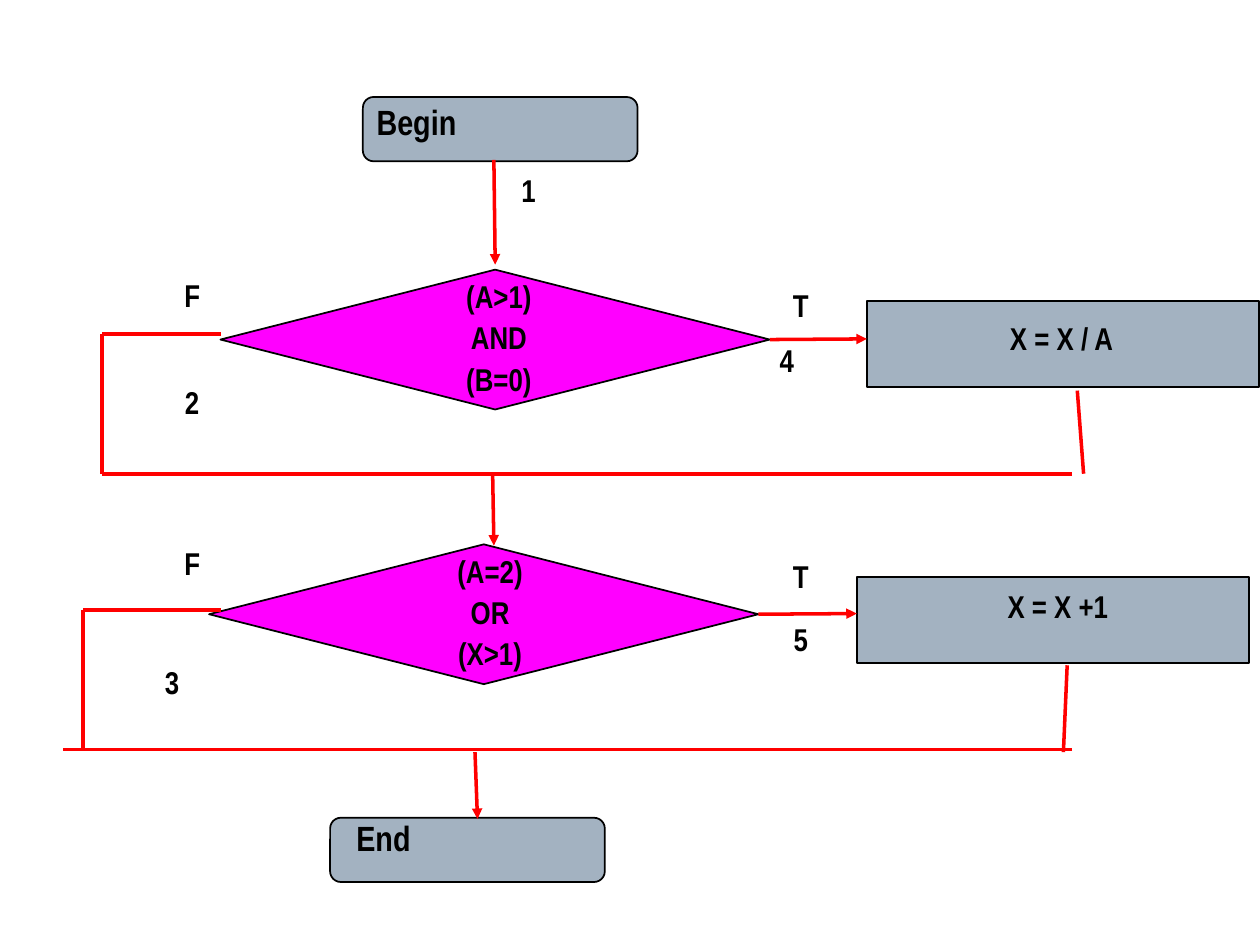
from dataclasses import dataclass

from lxml.etree import SubElement
from pptx import Presentation
from pptx.dml.color import RGBColor as RGB
from pptx.enum.shapes import MSO_CONNECTOR as Link, MSO_SHAPE as Form
from pptx.enum.text import PP_ALIGN as Align
from pptx.oxml.ns import qn
from pptx.util import Inches, Pt


@dataclass(frozen=True)
class Theme:
    font: str = "Arial Narrow"
    ink: RGB = RGB(0, 0, 0)
    box: RGB = RGB(0xA3, 0xB2, 0xC1)
    test: RGB = RGB(0xFF, 0, 0xFF)
    flow: RGB = RGB(0xFF, 0, 0)
    title: Pt = Pt(20)
    body: Pt = Pt(18)
    edge: Pt = Pt(1)
    wire: Pt = Pt(2)


theme = Theme()


def add_line(x1, y1, x2, y2, arrow=False):
    line = slide.shapes.add_connector(
        Link.STRAIGHT, Inches(x1), Inches(y1), Inches(x2), Inches(y2))
    line.line.color.rgb = theme.flow
    line.line.width = theme.wire
    if arrow:
        SubElement(line.line._get_or_add_ln(), qn("a:tailEnd"), type="triangle")
    SubElement(line._element.spPr, qn("a:effectLst"))
    return line


def add_text(text, x, y, w, h, size=theme.body, align=Align.CENTER):
    box = slide.shapes.add_textbox(Inches(x), Inches(y), Inches(w), Inches(h))
    frame = box.text_frame
    frame.word_wrap = True
    frame.text = text
    for para in frame.paragraphs:
        para.alignment = align
        para.space_after = Pt(2)
        para.font.name = theme.font
        para.font.size = size
        para.font.bold = True
        para.font.color.rgb = theme.ink


prs = Presentation()
prs.slide_width, prs.slide_height = Inches(10), Inches(7.5)
slide = prs.slides.add_slide(prs.slide_layouts[6])

# Flowchart boxes
start_end = (Form.FLOWCHART_ALTERNATE_PROCESS, theme.box, 2.18, 0.51)
choice = (Form.FLOWCHART_DECISION, theme.test, 4.36, 1.11)
step = (Form.FLOWCHART_PROCESS, theme.box, 3.11, 0.68)
nodes = []
for (form, fill, w, h), x, y in [
    (start_end, 2.88, 0.77),
    (choice, 1.75, 2.14),
    (step, 6.88, 2.39),
    (choice, 1.66, 4.32),
    (step, 6.8, 4.58),
    (start_end, 2.62, 6.49),
]:
    node = slide.shapes.add_shape(
        form, Inches(x), Inches(y), Inches(w), Inches(h))
    node.shadow.inherit = False
    node.fill.solid()
    node.fill.fore_color.rgb = fill
    node.line.color.rgb = theme.ink
    node.line.width = theme.edge
    nodes.append(node)
begin, first, divide, second, add, end = nodes

# True branches leave the right corner of each decision
for test, x1, x2, y in [(first, 6.11, 6.88, 2.69), (second, 6.02, 6.8, 4.87)]:
    add_line(x1, y, x2, y, arrow=True).begin_connect(test, 3)

# Downward arrows
for x1, y1, x2, y2 in [
    (3.92, 1.27, 3.93, 2.1),
    (3.91, 3.76, 3.92, 4.33),
    (3.77, 5.97, 3.79, 6.5),
]:
    add_line(x1, y1, x2, y2, arrow=True)

# False branches, returns from the steps and merge lines
for points in [
    (8.55, 3.1, 8.6, 3.76),
    (8.51, 3.76, 0.81, 3.76),
    (1.75, 2.65, 0.81, 2.65),
    (0.81, 2.65, 0.81, 3.76),
    (8.47, 5.28, 8.44, 5.97),
    (8.51, 5.95, 0.5, 5.95),
    (1.75, 4.84, 0.66, 4.84),
    (0.66, 4.84, 0.66, 5.95),
]:
    add_line(*points)

# Wording
for text, x, y in [("Begin", 2.89, 0.75), ("End", 2.73, 6.43)]:
    add_text(text, x, y, 2.41, 0.43, theme.title, Align.LEFT)
for text, x, y in [
    ("(A>1)\nAND\n(B=0)", 2.48, 2.15),
    ("(A=2)\nOR\n(X>1)", 2.41, 4.33),
]:
    add_text(text, x, y, 2.96, 1.09)
for text, x, y in [("X = X / A", 6.95, 2.48), ("X = X +1", 6.92, 4.61)]:
    add_text(text, x, y, 2.95, 0.4)
for text, x, y in [
    ("1", 3.64, 1.31),
    ("2", 0.97, 2.99),
    ("3", 0.81, 5.21),
    ("4", 5.69, 2.66),
    ("5", 5.8, 4.87),
    ("T", 5.8, 2.22),
    ("T", 5.8, 4.37),
    ("F", 0.97, 2.14),
    ("F", 0.97, 4.27),
]:
    add_text(text, x, y, 1.11, 0.4)

prs.save("out.pptx")
